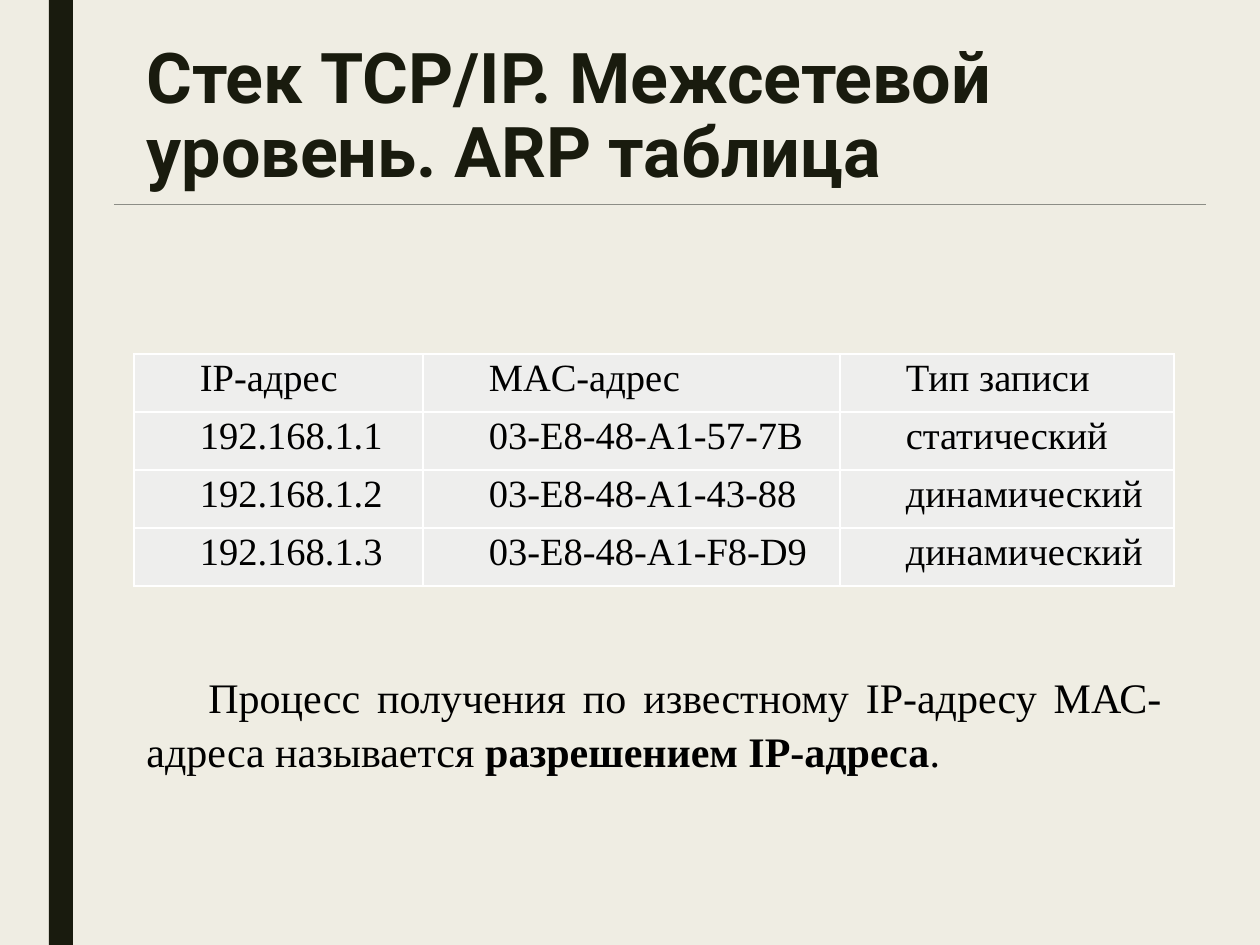
from lxml import etree
from pptx import Presentation
from pptx.dml.color import RGBColor
from pptx.enum.shapes import MSO_CONNECTOR, MSO_SHAPE
from pptx.enum.text import MSO_ANCHOR, PP_ALIGN
from pptx.oxml.ns import qn
from pptx.util import Pt

LEFT, JUSTIFY = PP_ALIGN.LEFT, PP_ALIGN.JUSTIFY
TOP = MSO_ANCHOR.TOP
RECTANGLE, STRAIGHT = MSO_SHAPE.RECTANGLE, MSO_CONNECTOR.STRAIGHT

TITLE = "Стек TCP/IP. Межсетевой уровень. ARP таблица"
ARP_ROWS = [
    ("IP-адрес", "MAC-адрес", "Тип записи"),
    ("192.168.1.1", "03-E8-48-A1-57-7B", "статический"),
    ("192.168.1.2", "03-E8-48-A1-43-88", "динамический"),
    ("192.168.1.3", "03-E8-48-A1-F8-D9", "динамический"),
]
DEFINITION = [
    ("Процесс получения по известному IP-адресу МАС-адреса называется ", False),
    ("разрешением IP-адреса", True),
    (".", False),
]

COLORS = {
    "background": "EFEDE3",
    "dark": "191B0E",
    "rule": "8C8D86",
    "cell": "EEEEED",
    "border": "FFFFFF",
    "text": "000000",
}
EMU_PER_PX = 914400 // 126
SLIDE_WIDTH, SLIDE_HEIGHT = 1260, 945
CONTENT_LEFT, CONTENT_WIDTH = 134, 1040
COLUMN_WIDTHS = [289, 417, 334]
ROW_HEIGHT = 58
CELL_MARGIN = 4
FIRST_LINE_INDENT = 62


def px(*lengths):
    return [round(length * EMU_PER_PX) for length in lengths]


def color(name):
    return RGBColor.from_string(COLORS[name])


def fill_solid(target, name):
    target.fill.solid()
    target.fill.fore_color.rgb = color(name)


def write_text(frame, runs, size, font="Times New Roman", fill="text",
               align=JUSTIFY, line_spacing=1.07, indent=FIRST_LINE_INDENT):
    """Fill the first paragraph with (text, bold) runs."""
    frame.word_wrap = True
    paragraph = frame.paragraphs[0]
    paragraph.alignment = align
    paragraph.line_spacing = line_spacing
    paragraph.space_before = paragraph.space_after = Pt(0)
    properties = paragraph._p.get_or_add_pPr()
    properties.set("marL", "0")
    properties.set("indent", str(px(indent)[0]))
    for text, bold in runs:
        run = paragraph.add_run()
        run.text = text
        run.font.name = font
        run.font.size = Pt(size)
        run.font.bold = bold
        run.font.color.rgb = color(fill)


def add_borders(cell):
    """Draw the four edges; they must precede the fill in the cell's XML."""
    properties = cell._tc.get_or_add_tcPr()
    for position, edge in enumerate(("a:lnL", "a:lnR", "a:lnT", "a:lnB")):
        line = etree.Element(qn(edge), w=str(Pt(1)))
        solid = etree.SubElement(line, qn("a:solidFill"))
        etree.SubElement(solid, qn("a:srgbClr"), val=COLORS["border"])
        properties.insert(position, line)


def add_arp_table(slide):
    frame = slide.shapes.add_table(
        len(ARP_ROWS), len(COLUMN_WIDTHS),
        *px(CONTENT_LEFT, 354, CONTENT_WIDTH, ROW_HEIGHT * len(ARP_ROWS)))
    table = frame.table
    for column, width in zip(table.columns, COLUMN_WIDTHS):
        column.width = px(width)[0]
    for row, texts in zip(table.rows, ARP_ROWS):
        row.height = px(ROW_HEIGHT)[0]
        for cell, text in zip(row.cells, texts):
            cell.margin_left = cell.margin_right = px(CELL_MARGIN)[0]
            cell.margin_top = cell.margin_bottom = 0
            cell.vertical_anchor = TOP
            fill_solid(cell, "cell")
            add_borders(cell)
            write_text(cell.text_frame, [(text, False)], size=22)


def main():
    presentation = Presentation()
    presentation.slide_width, presentation.slide_height = px(SLIDE_WIDTH, SLIDE_HEIGHT)
    slide = presentation.slides.add_slide(presentation.slide_layouts[5])
    fill_solid(slide.background, "background")

    side_bar = slide.shapes.add_shape(RECTANGLE, *px(49, 0, 24, SLIDE_HEIGHT))
    side_bar.shadow.inherit = False
    side_bar.line.fill.background()
    fill_solid(side_bar, "dark")

    title = slide.shapes.title
    title.left, title.top, title.width, title.height = px(CONTENT_LEFT, 37, 1081, 204)
    title.text_frame.vertical_anchor = TOP
    write_text(title.text_frame, [(TITLE, True)], size=40, font="Roboto",
               fill="dark", align=LEFT, line_spacing=0.89, indent=0)

    title_rule = slide.shapes.add_connector(STRAIGHT, *px(114, 204, 1206, 204))
    title_rule.line.color.rgb = color("rule")
    title_rule.line.width = Pt(0.5)
    etree.SubElement(title_rule._element.spPr, qn("a:effectLst"))

    add_arp_table(slide)

    definition = slide.shapes.add_textbox(*px(CONTENT_LEFT, 662, CONTENT_WIDTH, 118))
    write_text(definition.text_frame, DEFINITION, size=24)

    presentation.save("out.pptx")


if __name__ == "__main__":
    main()
